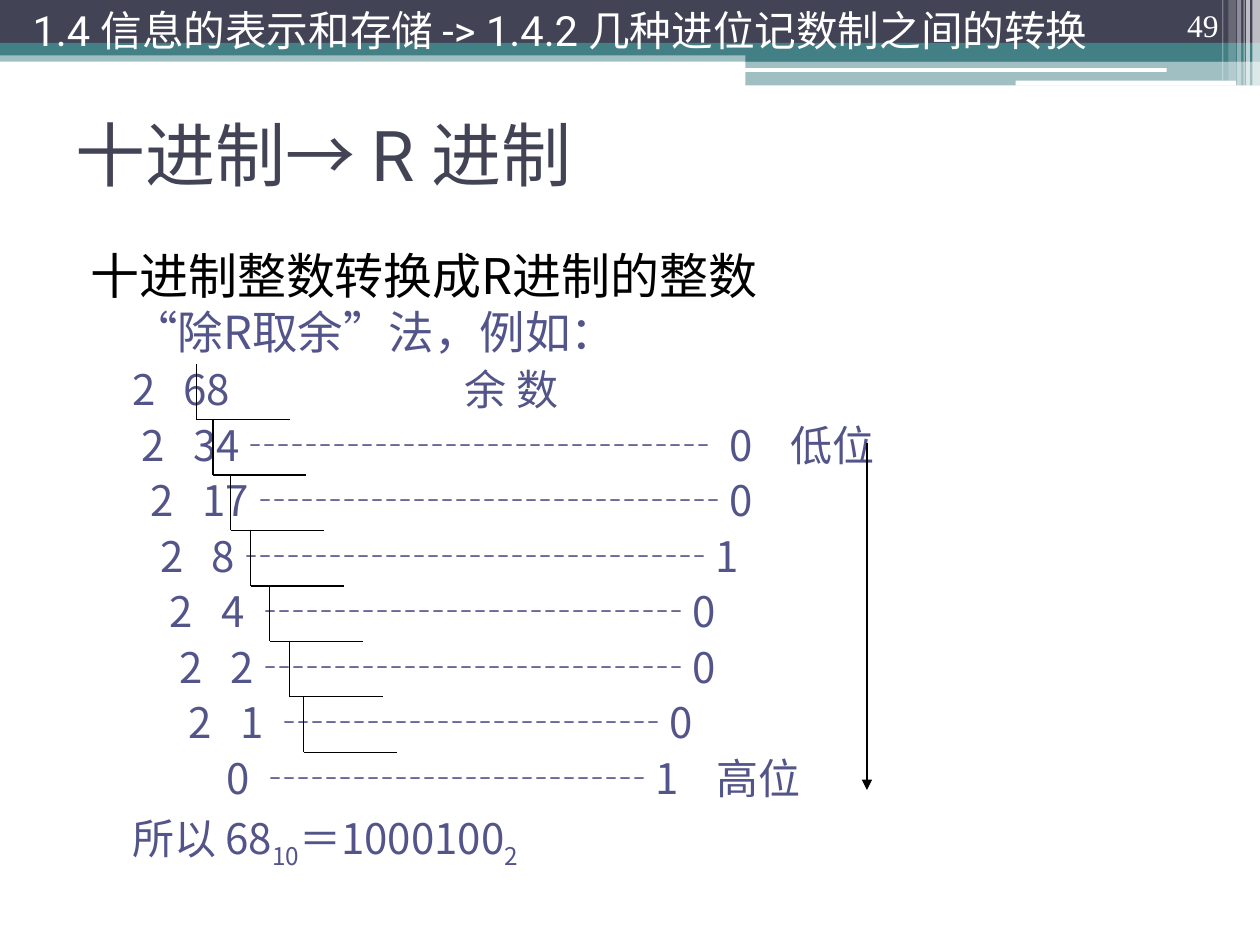
"""Build the slide on converting a decimal integer to base R by repeated division."""
from lxml import etree
from pptx import Presentation
from pptx.dml.color import RGBColor
from pptx.enum import shapes, text
from pptx.oxml import ns
from pptx.util import Pt

WHITE = RGBColor(0xFF, 0xFF, 0xFF)
BLACK = RGBColor(0, 0, 0)
SLATE = RGBColor(0x42, 0x44, 0x56)
TEAL = RGBColor(0x43, 0x80, 0x86)
INDIGO = RGBColor(0x53, 0x54, 0x8A)
CJK = "Noto Sans CJK SC"

HEADER = "1.4 信息的表示和存储 -> 1.4.2 几种进位记数制之间的转换"
TITLE = "十进制→ R 进制"
PAGE = "49"
HEADING = "十进制整数转换成R进制的整数"
METHOD = "“除R取余”法，例如："
REMAINDER_HEAD = "余 数"
RESULT = [("所以 68", False), ("10", True), ("＝1000100", False), ("2", True)]

DIVISIONS = [
    ("2", "34", 99.2, 11, "0", "低位"),
    ("2", "17", 104.5, 11, "0", ""),
    ("2", "8", 96.6, 11, "1", ""),
    ("2", "4", 107.4, 10, "0", ""),
    ("2", "2", 107.4, 10, "0", ""),
    ("2", "1", 118.2, 9, "0", ""),
    ("", "0", 110.3, 9, "1", "高位"),
]
BANDS = [
    (0, 28.8, 720, 6.5, TEAL, 50), (0, 0, 720, 24.5, SLATE, 100),
    (0, 24.5, 720, 7.2, TEAL, 100), (426, 28, 294, 7.2, TEAL, 100),
    (426, 34.6, 294, 14.2, TEAL, 50),
]
PILLS = [(425.5, 38.9, 241.2, 2.2, WHITE, 100), (580.3, 46.1, 126, 2.9, WHITE, 100)]
STRIPES = [
    (715.7, 0, 4.3, 49, WHITE, 65), (712.1, 0, 2.2, 49, WHITE, 65),
    (710.6, 0, 0.7, 49, WHITE, 60), (707, 0, 2.2, 49, WHITE, 40),
    (702, 0, 4.3, 46.1, WHITE, 20), (698.4, 0, 0.7, 46.1, WHITE, 30),
]
BRACKET_LEFTS = [112.3, 121.7, 131.8, 143.3, 154.1, 165.6, 173.5]
BRACKET_TOP, BRACKET_STEP, BRACKET_WIDTH = 208.1, 31.68, 53.3
ROW_START, QUOTIENT_START, SPACE, DASH = 32.4, 61.9, 5.38, 24


def add_band(slide, kind, left, top, width, height, color, opacity):
    shape = slide.shapes.add_shape(kind, Pt(left), Pt(top), Pt(width), Pt(height))
    shape.shadow.inherit = False
    shape.line.fill.background()
    shape.fill.solid()
    shape.fill.fore_color.rgb = color
    if opacity < 100:
        rgb = shape.fill._xPr.find(".//" + ns.qn("a:srgbClr"))
        etree.SubElement(rgb, ns.qn("a:alpha"), val=str(opacity * 1000))


def add_line(slide, start, end, width, arrow=False):
    line = slide.shapes.add_connector(
        shapes.MSO_CONNECTOR.STRAIGHT, *(Pt(value) for value in (*start, *end)))
    line.line.color.rgb = BLACK
    line.line.width = Pt(width)
    if arrow:
        etree.SubElement(line.line._get_or_add_ln(), ns.qn("a:tailEnd"), type="triangle")
    etree.SubElement(line._element.spPr, ns.qn("a:effectLst"))


def format_runs(paragraph, size, font, color):
    for run in paragraph.runs:
        run.font.size = Pt(size)
        run.font.name = font
        run.font.color.rgb = color
        etree.SubElement(run.font._element, ns.qn("a:ea"), typeface=CJK)


def place(shape, left, top, width, height, anchor):
    shape.left, shape.top, shape.width, shape.height = map(Pt, (left, top, width, height))
    shape.text_frame.word_wrap = True
    shape.text_frame.auto_size = text.MSO_AUTO_SIZE.NONE
    shape.text_frame.vertical_anchor = anchor
    return shape.text_frame


def add_text(slide, box, anchor):
    return place(slide.shapes.add_textbox(0, 0, 0, 0), *box, anchor)


def add_paragraph(frame, before, indent=0, tabs=()):
    paragraph = frame.add_paragraph() if frame.text else frame.paragraphs[0]
    properties = paragraph._p.get_or_add_pPr()
    if indent:
        properties.set("marL", str(Pt(indent)))
    if tabs:
        stops = etree.SubElement(properties, ns.qn("a:tabLst"))
        for position in tabs:
            etree.SubElement(stops, ns.qn("a:tab"), pos=str(Pt(position)), algn="l")
    paragraph.line_spacing = 0.9
    paragraph.space_before = Pt(before)
    return paragraph


def add_row(frame, cells):
    paragraph = add_paragraph(frame, 5.8, tabs=[position for position, _ in cells])
    paragraph.text = "".join("\t" + value for _, value in cells)
    format_runs(paragraph, 24, CJK, INDIGO)


def division_cells(index, division):
    divisor, quotient, dash_start, count, remainder, label = division
    remainder_start = dash_start + DASH * count + SPACE * (2 if index == 1 else 1)
    cells = [
        (ROW_START + SPACE * index, divisor),
        (QUOTIENT_START + SPACE * (index if divisor else 4.5), quotient),
        (dash_start, "┄" * count),
        (remainder_start, remainder),
        (remainder_start + 34.8, label),
    ]
    return [cell for cell in cells if cell[1]]


def fill_body(frame):
    for value, size, color, before, indent in (
            (HEADING, 28, BLACK, 0, 8.6), (METHOD, 26, INDIGO, 3, ROW_START)):
        paragraph = add_paragraph(frame, before, indent)
        paragraph.text = value
        format_runs(paragraph, size, CJK, color)
    add_row(frame, [(ROW_START, "2"), (QUOTIENT_START, "68"), (222.5, REMAINDER_HEAD)])
    for index, division in enumerate(DIVISIONS, 1):
        add_row(frame, division_cells(index, division))
    paragraph = add_paragraph(frame, 5.8, ROW_START)
    for value, lowered in RESULT:
        run = paragraph.add_run()
        run.text = value
        if lowered:
            run.font._element.set("baseline", "-25000")
    format_runs(paragraph, 24, CJK, INDIGO)


def main():
    presentation = Presentation()
    presentation.slide_width, presentation.slide_height = Pt(720), Pt(540)
    slide = presentation.slides.add_slide(presentation.slide_layouts[5])
    rectangle, rounded = shapes.MSO_SHAPE.RECTANGLE, shapes.MSO_SHAPE.ROUNDED_RECTANGLE
    for kind, bands in ((rectangle, BANDS), (rounded, PILLS), (rectangle, STRIPES)):
        for band in bands:
            add_band(slide, kind, *band)

    middle, left = text.MSO_ANCHOR.MIDDLE, text.PP_ALIGN.LEFT
    title = place(slide.shapes.title, 36, 45.4, 648, 84.2, middle)
    body = add_text(slide, (36, 140.4, 648, 377.3), text.MSO_ANCHOR.TOP)
    number = add_text(slide, (643.7, 0, 59.8, 28.8), text.MSO_ANCHOR.BOTTOM)
    header = add_text(slide, (11.5, 0, 646.6, 33.8), middle)
    for frame, value, size, font, color, alignment in (
            (title, TITLE, 40, "Roboto", SLATE, left),
            (number, PAGE, 18, "Times New Roman", WHITE, text.PP_ALIGN.RIGHT),
            (header, HEADER, 23.8, "Roboto", WHITE, left)):
        frame.text = value
        frame.paragraphs[0].alignment = alignment
        format_runs(frame.paragraphs[0], size, font, color)
    fill_body(body)

    for index, x in enumerate(BRACKET_LEFTS):
        top = BRACKET_TOP + BRACKET_STEP * index
        bottom = top + BRACKET_STEP
        add_line(slide, (x, top), (x, bottom), 0.75)
        add_line(slide, (x, bottom), (x + BRACKET_WIDTH, bottom), 0.75)
    add_line(slide, (495.4, 253.4), (495.4, 451.4), 1, arrow=True)
    presentation.save("out.pptx")


if __name__ == "__main__":
    main()
